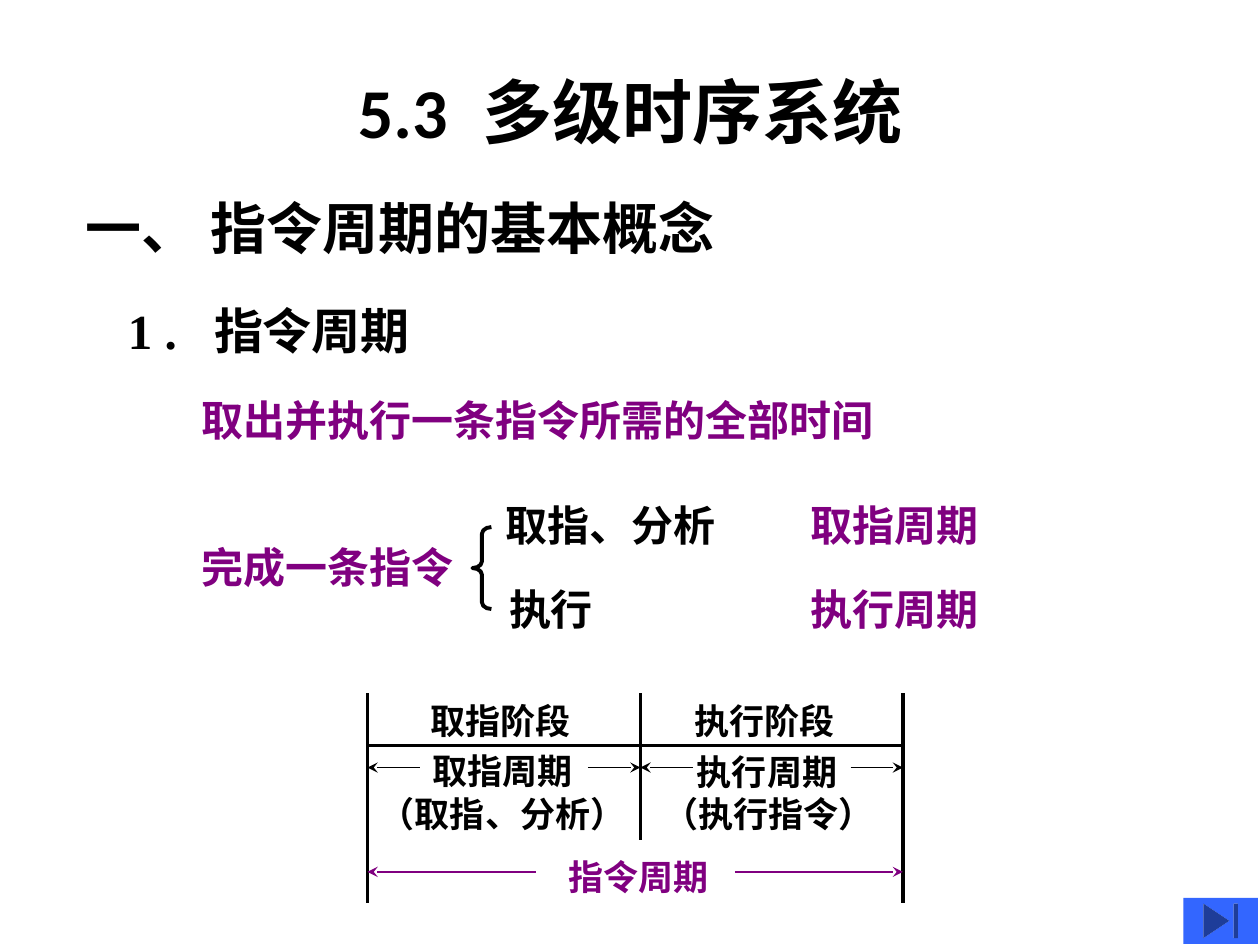
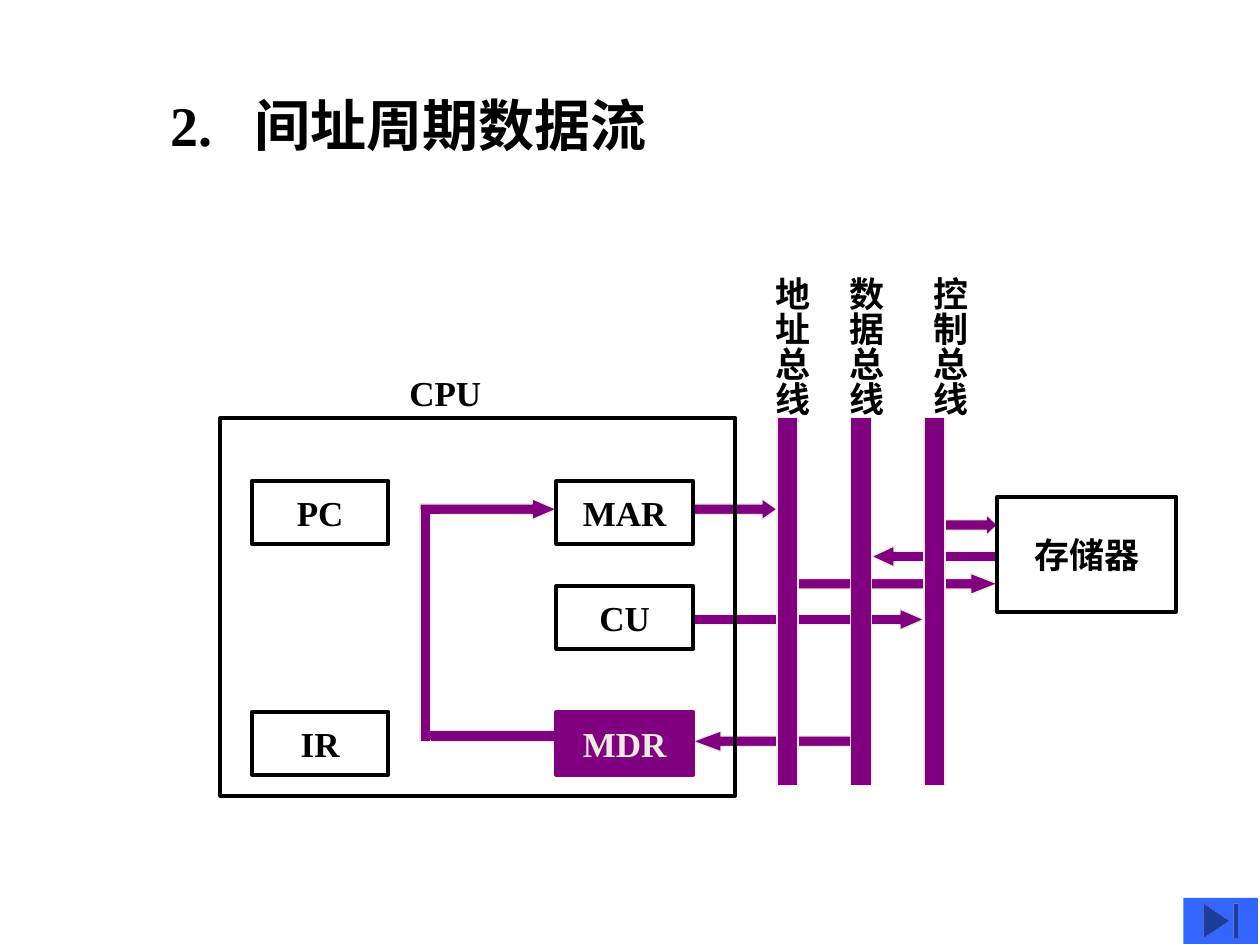
from lxml.etree import SubElement
from pptx import Presentation
from pptx.dml.color import RGBColor
from pptx.enum.shapes import MSO_CONNECTOR as CONN, MSO_SHAPE as SHAPE
from pptx.enum.text import MSO_ANCHOR as ANCHOR, MSO_AUTO_SIZE as AUTO, PP_ALIGN as ALIGN
from pptx.oxml.ns import qn
from pptx.util import Inches, Pt

COLORS = {"ink": "000000", "accent": "800080", "cream": "EEECE1", "button": "3366FF"}
FONT, TITLE_FONT = "Times New Roman", "Calibri"
UNITS = 12  # grid units per inch
LABEL_H = 5.2


def grid(*units):
    """Turn grid units into lengths."""
    return [Inches(u / UNITS) for u in units]


def rgb(name):
    """Look up a palette colour."""
    return RGBColor.from_string(COLORS[name])


def write(tf, text, size, color="ink", font=FONT, align=ALIGN.LEFT, tab=None):
    """Put one bold run in a text frame, with an optional tab stop."""
    p = tf.paragraphs[0]
    p.alignment = align
    if tab:
        tabs = SubElement(p._p.get_or_add_pPr(), qn("a:tabLst"))
        SubElement(tabs, qn("a:tab"), pos=str(grid(tab)[0]), algn="l")
    r = p.add_run()
    r.text = text
    r.font.size, r.font.bold, r.font.name = Pt(size), True, font
    r.font.color.rgb = rgb(color)


def add_title(s, box, text, size, anchor, **style):
    """Move and fill the title placeholder."""
    sp = s.shapes.title
    sp.left, sp.top, sp.width, sp.height = grid(*box)
    tf = sp.text_frame
    tf.auto_size, tf.vertical_anchor = AUTO.NONE, anchor
    write(tf, text, size, **style)


def add_text(shapes, box, text, size=20, color="ink", vertical=False, tab=None):
    """Add a text box, set upright in columns if vertical."""
    tf = shapes.add_textbox(*grid(*box)).text_frame
    tf.word_wrap, tf.auto_size = not vertical, AUTO.SHAPE_TO_FIT_TEXT
    if vertical:
        tf._txBody.bodyPr.set("vert", "eaVert")
    write(tf, text, size, color, tab=tab)


def add_shape(shapes, kind, box, fill=None, line=None, width=0.75, adj=()):
    """Add a flat preset shape."""
    sp = shapes.add_shape(kind, *grid(*box))
    sp.shadow.inherit = False
    for i, value in enumerate(adj):
        sp.adjustments[i] = value
    if fill:
        sp.fill.solid()
        sp.fill.fore_color.rgb = rgb(fill)
    else:
        sp.fill.background()
    if line:
        sp.line.color.rgb, sp.line.width = rgb(line), Pt(width)
    else:
        sp.line.fill.background()
    return sp


def add_box(shapes, box, text=None, fill=None, line="ink", color="ink"):
    """Add a framed block with a centred label."""
    sp = add_shape(shapes, SHAPE.RECTANGLE, box, fill, line, 2.25)
    if text:
        tf = sp.text_frame
        tf.word_wrap, tf.vertical_anchor = False, ANCHOR.MIDDLE
        write(tf, text, 20, color, align=ALIGN.CENTER)


def add_line(shapes, start, end, color="ink", width=2.25, arrow=False):
    """Add a straight line, with an arrowhead at its end if asked."""
    c = shapes.add_connector(CONN.STRAIGHT, *grid(*start, *end))
    c.line.color.rgb, c.line.width = rgb(color), Pt(width)
    spPr = c._element.spPr
    if arrow:
        SubElement(spPr.find(qn("a:ln")), qn("a:tailEnd"), type="stealth")
    SubElement(spPr, qn("a:effectLst"))


def add_block_arrow(shapes, x, y, length, head, left=False):
    """Add a thick data-flow arrow."""
    sp = add_shape(shapes, SHAPE.RIGHT_ARROW, (x, y, length, 2), "accent", "cream", adj=(0.5, head))
    sp.rotation = 180 if left else 0


def add_end_button(s):
    """Add the corner button that every slide has."""
    add_shape(s.shapes, SHAPE.ACTION_BUTTON_END, (112.7, 85.5, 7.1, 4.4), "button")


def add_timing(shapes):
    """Draw the two phases of the instruction cycle."""
    for x, y, w, text in [
        (39.8, 66, 18, "取指阶段"), (40, 70.8, 18, "取指周期"),
        (65, 66, 18, "执行阶段"), (65.2, 70.9, 18, "执行周期"),
        (35, 74.9, 28, "（取指、分析）"), (62, 74.9, 25, "（执行指令）"),
    ]:
        add_text(shapes, (x, y, w, LABEL_H), text)
    add_text(shapes, (53, 80.9, 18, LABEL_H), "指令周期", color="accent")
    left, middle, right = 35, 61, 86
    add_line(shapes, (left, 71), (right, 71))
    for x, bottom in [(left, 86), (middle, 80), (right, 86)]:
        add_line(shapes, (x, 66), (x, bottom))
    for x, inward in [(left, 5), (middle, 5), (right, -5), (middle, -5)]:
        add_line(shapes, (x + inward, 73.1), (x, 73.1), width=0.75, arrow=True)
    for x, inward in [(left, 16), (right, -16)]:
        add_line(shapes, (x + inward, 83.04), (x, 83.04), "accent", 0.75, arrow=True)


def build_cycle_slide(s):
    """Introduce the instruction cycle."""
    add_title(s, (9, 3, 102, 15), "5.3\u2002多级时序系统", 40, ANCHOR.MIDDLE,
              font=TITLE_FONT, align=ALIGN.CENTER)
    sh = s.shapes
    add_text(sh, (7, 17.8, 75, 7.5), "一、 指令周期的基本概念", 32)
    add_text(sh, (11, 28, 75, 6.8), "1 .\t指令周期", 28, tab=8.2)
    for x, y, w, text, color in [
        (18, 37, 75, "取出并执行一条指令所需的全部时间", "accent"),
        (18, 51, 36, "完成一条指令", "accent"),
        (47, 47, 26, "取指、分析", "ink"), (47.3, 55, 20.6, "执行", "ink"),
        (76, 47, 22, "取指周期", "accent"), (76, 55, 24, "执行周期", "accent"),
    ]:
        add_text(sh, (x, y, w, 6), text, 24, color)
    add_shape(sh, SHAPE.LEFT_BRACE, (45, 50.2, 1.8, 7.8), line="ink", width=2.25, adj=(0.354, 0.5))
    add_timing(sh)
    add_end_button(s)


def add_flows(shapes):
    """Draw the data paths and the patches over their joints."""
    for x, y, length, head, left in [
        (83, 52, 12, 1.07, True), (66, 58, 22, 1.15, False),
        (66, 47.5, 8, 0.71, False), (76, 54.6, 19, 1.27, False),
        (66, 69.6, 15, 1.33, True), (40, 47.5, 13, 1.16, False),
        (89, 49, 6, 0.53, False),
    ]:
        add_block_arrow(shapes, x, y, length, head, left)
    for pipe in [(40, 69.6, 13, 1), (40, 48.6, 1, 22)]:
        add_shape(shapes, SHAPE.RECTANGLE, pipe, "accent", "cream")
    for patch in [(75.5, 55.3, 1, 0.6), (80.7, 70.3, 1, 0.6),
                  (40.3, 69.7, 0.7, 0.7), (40.2, 48.2, 1.6, 0.7)]:
        add_shape(shapes, SHAPE.RECTANGLE, patch, "accent", "accent")


def build_dataflow_slide(s):
    """Show the data flow of the indirect cycle."""
    add_title(s, (15, 8, 75, 7.5), "2.\t间址周期数据流", 32, ANCHOR.TOP, tab=8)
    sh = s.shapes
    add_flows(sh)
    top = 39.8
    for i, (x, name) in enumerate([(71.6, "地址总线"), (78.6, "数据总线"), (86.6, "控制总线")]):
        add_shape(sh, SHAPE.RECTANGLE, (74 + 7 * i, top, 2, 35), "accent", "cream")
        add_text(sh, (x, 25.2, 6.4, 14.6), name, vertical=True)
    add_box(sh, (21, top, 49, 36))
    add_text(sh, (37.8, 34.8, 12, LABEL_H), "CPU")
    for x, y, name in [(24, 45.8, "PC"), (24, 67.8, "IR"), (53, 45.8, "MAR"), (53, 55.8, "CU")]:
        add_box(sh, (x, y, 13, 6), name)
    add_box(sh, (53, 67.8, 13, 6), "MDR", "accent", "accent", "cream")
    add_box(sh, (95, 47.3, 17, 11), "存储器")
    add_end_button(s)


def main():
    """Build the deck."""
    prs = Presentation()
    prs.slide_width, prs.slide_height = Inches(10), Inches(7.5)
    for build in (build_cycle_slide, build_dataflow_slide):
        build(prs.slides.add_slide(prs.slide_layouts[5]))
    prs.save("out.pptx")


main()
